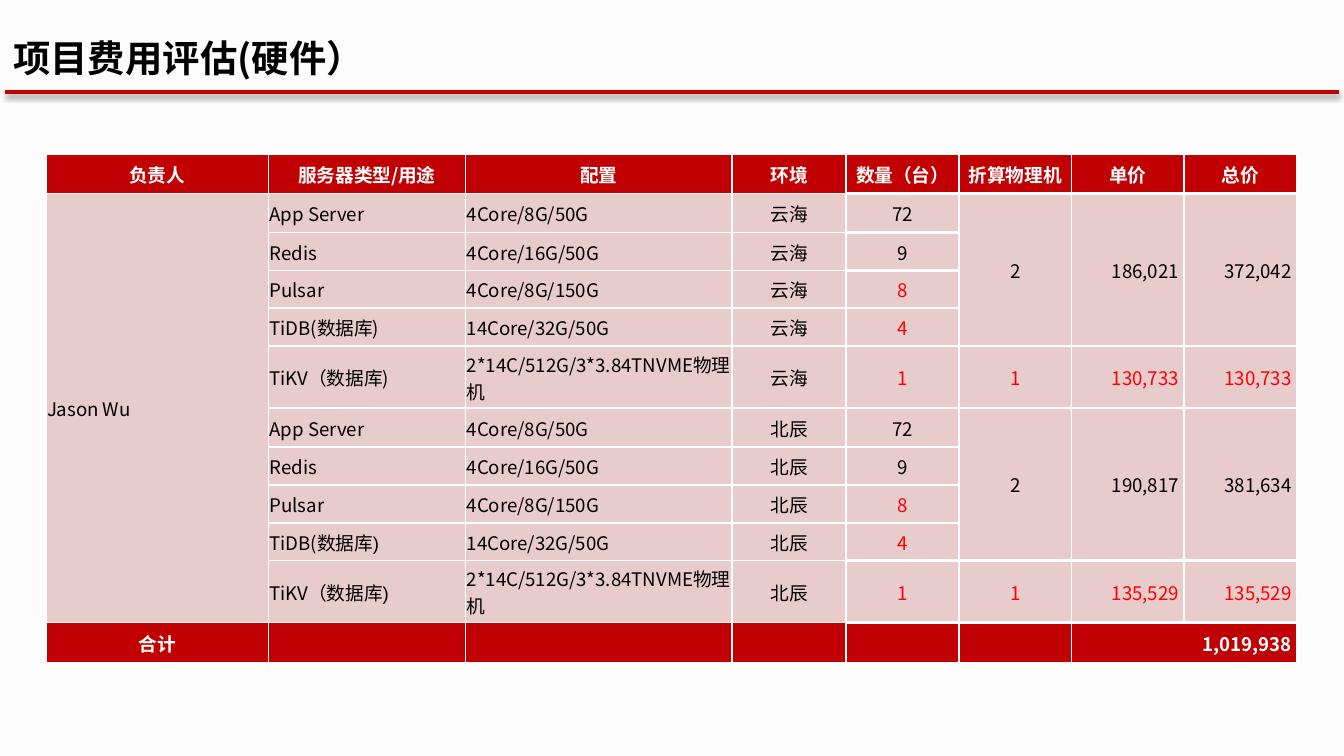
"""Build the hardware cost estimate slide of a project budget."""
from typing import NamedTuple

from lxml import etree
from pptx import Presentation
from pptx import util as u
from pptx.dml.color import RGBColor
from pptx.enum import shapes, text
from pptx.oxml import ns

COLORS = {
    "background": "FCFCFC", "brand": "C00002", "body": "E8CBCB",
    "black": "000000", "white": "FFFFFF", "changed": "FF0000",
}
FONT, LATIN_FONT = "Noto Sans CJK SC", "Arial"
SLIDE_WIDTH = u.Inches(10)
SLIDE_HEIGHT = SLIDE_WIDTH * 9 // 16
TABLE_WIDTH, TABLE_HEIGHT = u.Inches(9.31), u.Inches(3.79)
COLUMN_WEIGHTS = [1.66, 1.47, 1.99, 0.85] + [0.84] * 4
SITE_WEIGHTS = [0.29, 0.28, 0.28, 0.28, 0.46]
ROW_WEIGHTS = [0.29, *SITE_WEIGHTS, *SITE_WEIGHTS, 0.3]
HEADERS = ["负责人", "服务器类型/用途", "配置", "环境", "数量（台）", "折算物理机", "单价", "总价"]
LEFT, CENTER, RIGHT = text.PP_ALIGN.LEFT, text.PP_ALIGN.CENTER, text.PP_ALIGN.RIGHT
BODY_ALIGNMENTS = [LEFT, LEFT, LEFT, CENTER, CENTER, CENTER, RIGHT, RIGHT]
QUANTITY_COLUMN = 4


class Style(NamedTuple):
    size: float
    color: str
    bold: bool = False


class Server(NamedTuple):
    purpose: str
    setup: str
    quantity: str
    color: str = "black"


class Site(NamedTuple):
    name: str
    shared_costs: list[str]
    storage_costs: list[str]
    bracket_font: str


SERVERS = [
    Server("App Server", "4Core/8G/50G", "72"),
    Server("Redis", "4Core/16G/50G", "9"),
    Server("Pulsar", "4Core/8G/150G", "8", "changed"),
    Server("TiDB(数据库)", "14Core/32G/50G", "4", "changed"),
    Server("TiKV（数据库)", "2*14C/512G/3*3.84TNVME物理机", "1", "changed"),
]
SITES = [
    Site("云海", ["2", "186,021 ", "372,042 "], ["1", "130,733 ", "130,733 "], FONT),
    Site("北辰", ["2", "190,817 ", "381,634 "], ["1", "135,529 ", "135,529 "], LATIN_FONT),
]
HEADING = Style(10, "white", True)


def rgb(name: str) -> RGBColor:
    return RGBColor.from_string(COLORS[name])


def across(percent: float) -> int:
    return int(SLIDE_WIDTH * percent / 100)


def down(percent: float) -> int:
    return int(SLIDE_HEIGHT * percent / 100)


def divide(total: int, weights: list[float]) -> list[int]:
    return [int(total * weight / sum(weights)) for weight in weights]


def add_run(paragraph, content: str, style: Style, font: str = FONT) -> None:
    run = paragraph.add_run()
    run.text = content
    run.font.size, run.font.bold, run.font.name = u.Pt(style.size), style.bold, font
    run.font.color.rgb = rgb(style.color)
    east_asian = etree.SubElement(run.font._element, ns.qn("a:ea"))
    east_asian.set("typeface", font)


def add_title(slide, content: str) -> None:
    box = slide.shapes.add_textbox(0, down(3.8), across(90.1), down(7.8))
    box.text_frame.word_wrap = True
    box.text_frame.auto_size = text.MSO_AUTO_SIZE.SHAPE_TO_FIT_TEXT
    add_run(box.text_frame.paragraphs[0], content, Style(20, "black", True))


def add_rule(slide) -> None:
    top = down(12.2)
    rule = slide.shapes.add_connector(shapes.MSO_CONNECTOR.STRAIGHT, across(0.4), top, across(99.6), top)
    rule.line.color.rgb, rule.line.width = rgb("brand"), u.Pt(2)
    effects = etree.SubElement(rule._element.spPr, ns.qn("a:effectLst"))
    shadow = etree.SubElement(effects, ns.qn("a:outerShdw"), blurRad=str(u.Pt(3.1)),
                              dist=str(u.Pt(1.6)), dir="5400000", rotWithShape="0")
    tint = etree.SubElement(shadow, ns.qn("a:srgbClr"), val=COLORS["black"])
    etree.SubElement(tint, ns.qn("a:alpha"), val="38000")


def style_cell(cell, fill: str, horizontal_border: float) -> None:
    cell.fill.solid()
    cell.fill.fore_color.rgb = rgb(fill)
    cell.vertical_anchor = text.MSO_ANCHOR.MIDDLE
    cell.margin_left = cell.margin_right = cell.margin_top = u.Inches(0.01)
    cell.margin_bottom = 0
    properties = cell._tc.get_or_add_tcPr()
    widths = {"lnL": 1, "lnR": 1, "lnT": horizontal_border, "lnB": horizontal_border}
    for index, (edge, width) in enumerate(widths.items()):
        line = etree.Element(ns.qn(f"a:{edge}"), w=str(u.Pt(width)))
        solid = etree.SubElement(line, ns.qn("a:solidFill"))
        etree.SubElement(solid, ns.qn("a:srgbClr"), val=COLORS["white"])
        properties.insert(index, line)


def write_cell(cell, content: str, style: Style, alignment, bracket_font: str = FONT) -> None:
    paragraph = cell.text_frame.paragraphs[0]
    paragraph.alignment = alignment
    if bracket_font != FONT and content.endswith(")"):
        add_run(paragraph, content[:-1], style)
        add_run(paragraph, ")", style, bracket_font)
    else:
        add_run(paragraph, content, style)


def write_site(table, site: Site, first_row: int) -> None:
    for row, server in enumerate(SERVERS, first_row):
        for column, content in enumerate([server.purpose, server.setup, site.name, server.quantity], 1):
            color = server.color if column == QUANTITY_COLUMN else "black"
            write_cell(table.cell(row, column), content, Style(10, color),
                       BODY_ALIGNMENTS[column], site.bracket_font)
    last_row = first_row + len(SERVERS) - 1
    for row, costs, color in [(first_row, site.shared_costs, "black"), (last_row, site.storage_costs, "changed")]:
        for column, content in enumerate(costs, QUANTITY_COLUMN + 1):
            write_cell(table.cell(row, column), content, Style(10, color), BODY_ALIGNMENTS[column])
    for column in range(QUANTITY_COLUMN + 1, len(HEADERS)):
        table.cell(first_row, column).merge(table.cell(last_row - 1, column))


def add_cost_table(slide) -> None:
    total_row = len(ROW_WEIGHTS) - 1
    frame = slide.shapes.add_table(len(ROW_WEIGHTS), len(COLUMN_WEIGHTS), across(3.4), down(20.4),
                                   TABLE_WIDTH, TABLE_HEIGHT)
    table = frame.table
    table.first_row = table.horz_banding = False
    for column, width in zip(table.columns, divide(TABLE_WIDTH, COLUMN_WEIGHTS)):
        column.width = width
    for index, (row, height) in enumerate(zip(table.rows, divide(TABLE_HEIGHT, ROW_WEIGHTS))):
        row.height = height
        fill = "brand" if index in (0, total_row) else "body"
        for column, cell in enumerate(row.cells):
            style_cell(cell, fill, 1.5 if column >= QUANTITY_COLUMN else 1)
    for column, header in enumerate(HEADERS):
        write_cell(table.cell(0, column), header, HEADING, CENTER)
    write_cell(table.cell(1, 0), "Jason Wu", Style(10, "black"), LEFT)
    table.cell(1, 0).merge(table.cell(total_row - 1, 0))
    for index, site in enumerate(SITES):
        write_site(table, site, 1 + index * len(SERVERS))
    write_cell(table.cell(total_row, 0), "合计", HEADING, CENTER)
    write_cell(table.cell(total_row, 6), "1,019,938 ", HEADING, RIGHT)
    table.cell(total_row, 6).merge(table.cell(total_row, 7))
    for cell in table.iter_cells():
        if not cell.text_frame.text:
            ending = etree.SubElement(cell.text_frame.paragraphs[0]._p, ns.qn("a:endParaRPr"))
            ending.set("sz", "1000")


def main() -> None:
    presentation = Presentation()
    presentation.slide_width, presentation.slide_height = SLIDE_WIDTH, SLIDE_HEIGHT
    slide = presentation.slides.add_slide(presentation.slide_layouts[6])
    slide.background.fill.solid()
    slide.background.fill.fore_color.rgb = rgb("background")
    add_rule(slide)
    add_title(slide, "项目费用评估(硬件）")
    add_cost_table(slide)
    presentation.save("out.pptx")


if __name__ == "__main__":
    main()
